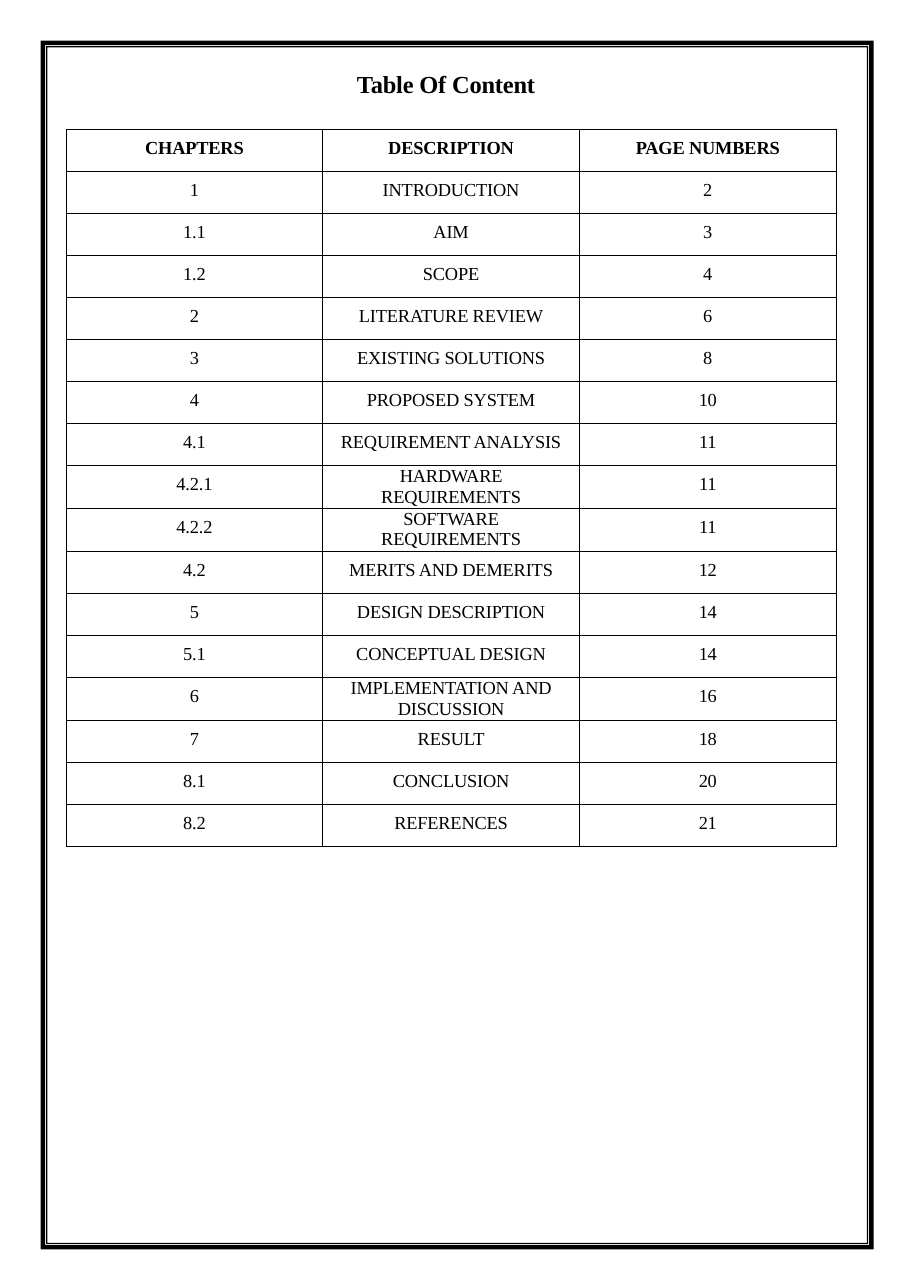
from dataclasses import dataclass

from lxml.etree import SubElement
from pptx import Presentation
from pptx.dml.color import RGBColor
from pptx.enum.text import PP_ALIGN
from pptx.oxml.ns import qn
from pptx.slide import Slide
from pptx.table import _Cell as Cell
from pptx.text.text import TextFrame
from pptx.util import Inches, Pt

BLACK = RGBColor(0x00, 0x00, 0x00)
FONT = "Times New Roman"
WIDTH, HEIGHT = 8.26, 11.69
TABLE_LEFT, TABLE_TOP = 0.6, 1.17
TABLE_WIDTH, TABLE_HEIGHT = 6.99, 6.52
TALL = 0.39


@dataclass
class Entry:
    chapter: str
    title: str
    page: str
    bold: bool = False
    tall: bool = False


ENTRIES = [
    Entry("CHAPTERS", "DESCRIPTION", "PAGE NUMBERS", bold=True),
    Entry("1", "INTRODUCTION", "2"),
    Entry("1.1", "AIM", "3"),
    Entry("1.2", "SCOPE", "4"),
    Entry("2", "LITERATURE REVIEW", "6"),
    Entry("3", "EXISTING SOLUTIONS", "8"),
    Entry("4", "PROPOSED SYSTEM", "10"),
    Entry("4.1", "REQUIREMENT ANALYSIS", "11"),
    Entry("4.2.1", "HARDWARE REQUIREMENTS", "11", tall=True),
    Entry("4.2.2", "SOFTWARE REQUIREMENTS", "11", tall=True),
    Entry("4.2", "MERITS AND DEMERITS", "12"),
    Entry("5", "DESIGN DESCRIPTION", "14"),
    Entry("5.1", "CONCEPTUAL DESIGN", "14"),
    Entry("6", "IMPLEMENTATION AND DISCUSSION", "16", tall=True),
    Entry("7", "RESULT", "18"),
    Entry("8.1", "CONCLUSION", "20"),
    Entry("8.2", "REFERENCES", "21"),
]


def write(frame: TextFrame, text: str, size: float = 12, bold: bool = False,
          align: PP_ALIGN = PP_ALIGN.CENTER, pitch: float | None = None) -> None:
    """Put text in the frame's first paragraph; pitch is the line height in points."""
    para = frame.paragraphs[0]
    para.alignment = align
    if pitch:
        para.line_spacing = Pt(pitch)
    run = para.add_run()
    run.text = text
    run.font.name = FONT
    run.font.size = Pt(size)
    run.font.bold = bold
    run.font.color.rgb = BLACK
    run.font._element.set("spc", "-10")


def pad(cell: Cell, top: float, side: float) -> None:
    cell.margin_top = Inches(top)
    cell.margin_left = cell.margin_right = Inches(side)
    cell.margin_bottom = 0


def rule(cell: Cell) -> None:
    """Outline the cell in thin black and leave it unfilled."""
    props = cell._tc.get_or_add_tcPr()
    for side in ("a:lnL", "a:lnR", "a:lnT", "a:lnB"):
        line = SubElement(props, qn(side), w=str(Pt(0.5)))
        fill = SubElement(line, qn("a:solidFill"))
        SubElement(fill, qn("a:srgbClr"), val=str(BLACK))
    cell.fill.background()


def add_title(slide: Slide) -> None:
    box = slide.shapes.add_textbox(Inches(3.24), Inches(0.62), Inches(1.7), Inches(0.3))
    frame = box.text_frame
    frame.word_wrap = False
    frame.margin_left = frame.margin_right = frame.margin_bottom = 0
    frame.margin_top = Inches(0.01)
    write(frame, "Table Of Content", size=16, bold=True, align=PP_ALIGN.LEFT)


def add_contents(slide: Slide) -> None:
    table = slide.shapes.add_table(
        len(ENTRIES), 3, Inches(TABLE_LEFT), Inches(TABLE_TOP),
        Inches(TABLE_WIDTH), Inches(TABLE_HEIGHT)).table
    table.first_row = table.horz_banding = False
    for column in table.columns:
        column.width = Inches(TABLE_WIDTH / 3)

    count = sum(entry.tall for entry in ENTRIES)
    short = (TABLE_HEIGHT - count * TALL) / (len(ENTRIES) - count)
    for row, entry in zip(table.rows, ENTRIES):
        row.height = Inches(TALL if entry.tall else short)
        texts = (entry.chapter, entry.title, entry.page)
        for index, (cell, text) in enumerate(zip(row.cells, texts)):
            wraps = entry.tall and index == 1
            pad(cell, top=0.01 if wraps else 0.08, side=0.2 if wraps else 0)
            rule(cell)
            write(cell.text_frame, text, bold=entry.bold, pitch=13.2 if wraps else None)


def add_frame(slide: Slide) -> None:
    """Draw the double page border as nested outlines, in hundredths of an inch."""
    insets = (37, 41, 42, 43)
    path = slide.shapes.build_freeform(insets[0], insets[0], scale=Inches(0.01))
    for inset in insets:
        right, bottom = 830 - inset, 1171 - inset
        if inset != insets[0]:
            path.move_to(inset, inset)
        path.add_line_segments([(right, inset), (right, bottom), (inset, bottom)], close=True)
    border = path.convert_to_shape()
    border.shadow.inherit = False
    border.fill.solid()
    border.fill.fore_color.rgb = BLACK
    border.line.fill.background()


def main() -> None:
    deck = Presentation()
    deck.slide_width, deck.slide_height = Inches(WIDTH), Inches(HEIGHT)
    slide = deck.slides.add_slide(deck.slide_layouts[6])
    add_title(slide)
    add_contents(slide)
    add_frame(slide)
    deck.save("out.pptx")


if __name__ == "__main__":
    main()
